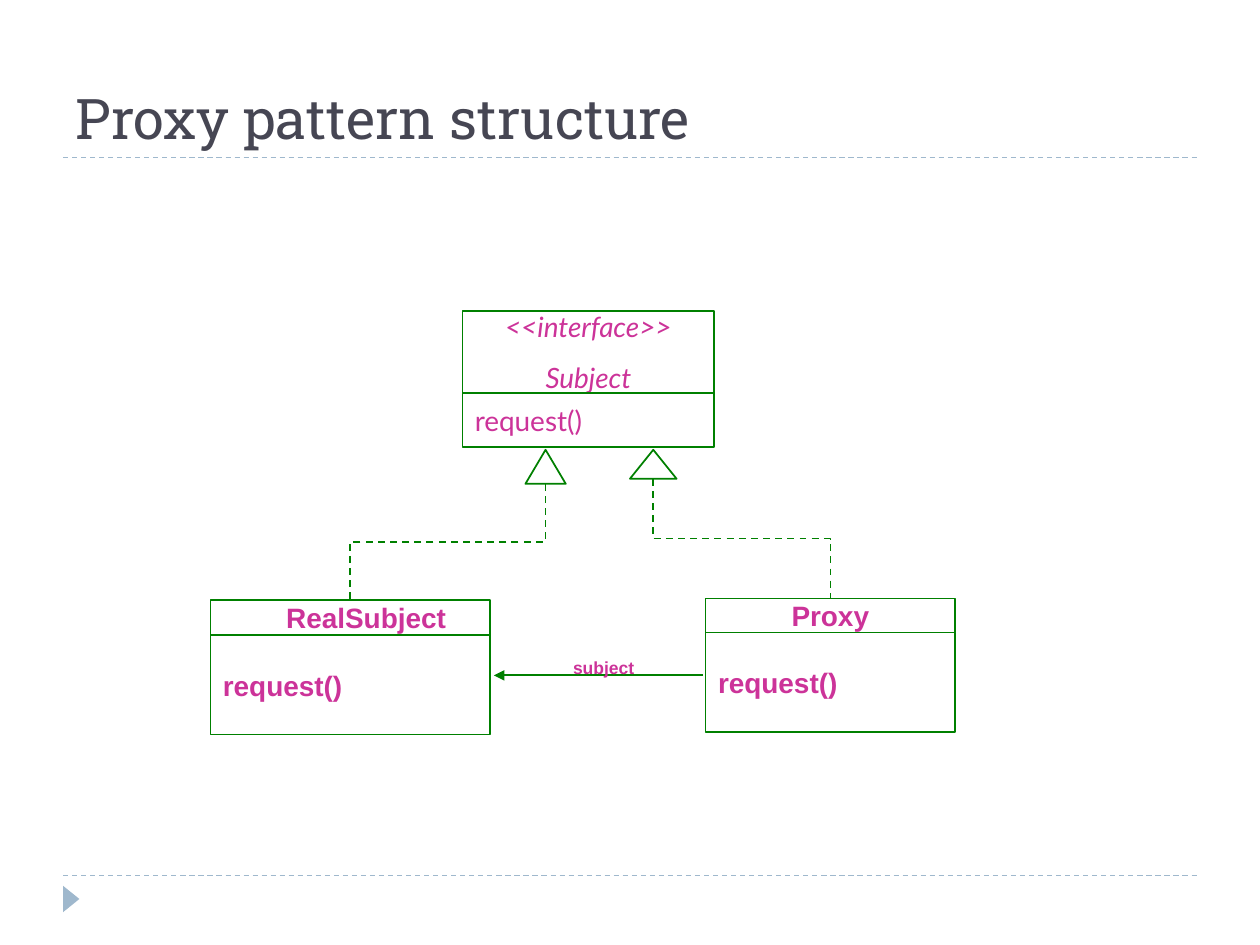
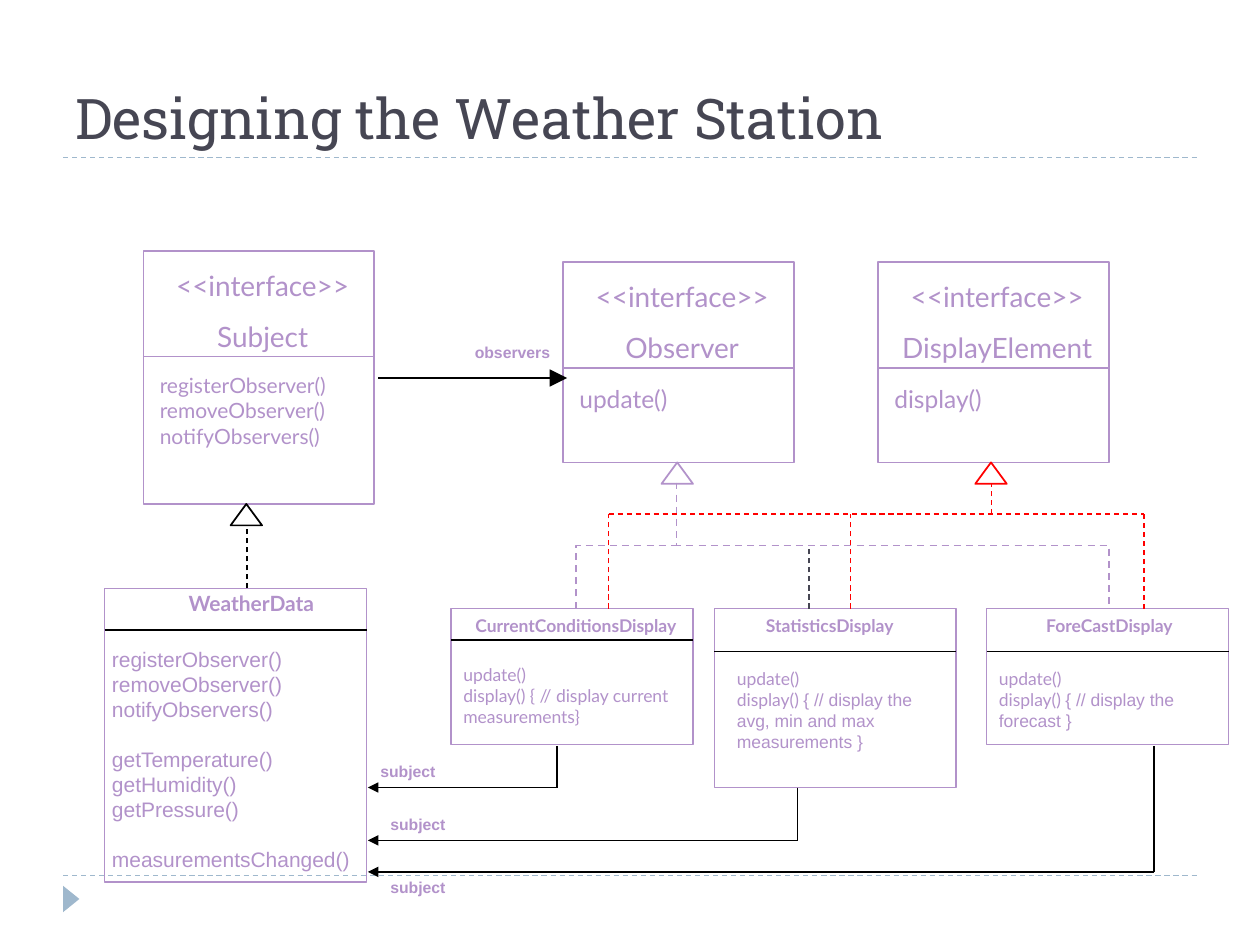
from dataclasses import dataclass, replace
from itertools import pairwise

from lxml.etree import SubElement
from pptx import Presentation
from pptx.dml.color import RGBColor
from pptx.enum.dml import MSO_LINE
from pptx.enum.shapes import MSO_CONNECTOR, MSO_SHAPE
from pptx.enum.text import MSO_ANCHOR, PP_ALIGN
from pptx.oxml.ns import qn
from pptx.util import Inches, Pt


@dataclass(frozen=True)
class Type:
    size: float
    colour: str
    font: str
    bold: bool = False
    italic: bool = False


@dataclass(frozen=True)
class Theme:
    frame = "9FB8CD"
    ink = "464653"
    green = "008000"
    lilac = "B292CA"
    red = "FF0000"
    black = "000000"
    thin = 0.75
    medium = 1
    title = Type(32, "464653", "Roboto Slab")
    proxy_plain = Type(16, "CC3399", "Lato")
    proxy_bold = Type(16, "CC3399", "Arial", bold=True)
    proxy_label = Type(10, "CC3399", "Arial", bold=True)
    interface = Type(16, "B292CA", "Lato")
    method = Type(14, "B292CA", "Lato")
    small_method = Type(12, "B292CA", "Lato")
    display_method = Type(10, "B292CA", "Lato")
    label = Type(9, "B292CA", "Arial", bold=True)


THEME = Theme()


@dataclass(frozen=True)
class Box:
    left: float
    top: float
    width: float
    height: float

    def emu(self):
        return [Inches(v) for v in (self.left, self.top, self.width, self.height)]

    def inner(self, dx, dy, width, height):
        return Box(self.left + dx, self.top + dy, width, height)


@dataclass(frozen=True)
class Para:
    """Spans are (text, font) pairs; a font of None keeps the type's own."""
    spans: tuple
    before: float = 0


def plain(*lines):
    return [Para(((line, None),)) for line in lines]


def write(frame, paras, kind, align=PP_ALIGN.LEFT, gap=0):
    for number, item in enumerate(paras):
        para = frame.add_paragraph() if number else frame.paragraphs[0]
        para.alignment = align
        if number:
            para.space_before = Pt(item.before or gap)
        for text, font in item.spans:
            span = para.add_run()
            span.text = text
            span.font.size = Pt(kind.size)
            span.font.name = font or kind.font
            span.font.bold = kind.bold
            span.font.italic = kind.italic
            span.font.color.rgb = RGBColor.from_string(kind.colour)


def textbox(page, box, paras, kind, align=PP_ALIGN.LEFT, gap=0,
            wrap=True, side=0.1, anchor=MSO_ANCHOR.TOP):
    frame = page.shapes.add_textbox(*box.emu()).text_frame
    frame.word_wrap = wrap
    frame.vertical_anchor = anchor
    frame.margin_left = frame.margin_right = Inches(side)
    write(frame, paras, kind, align, gap)


def outline(page, box, colour, preset=MSO_SHAPE.RECTANGLE):
    shape = page.shapes.add_shape(preset, *box.emu())
    shape.shadow.inherit = False
    shape.fill.background()
    shape.line.color.rgb = RGBColor.from_string(colour)
    shape.line.width = Pt(THEME.medium)
    return shape


def triangle(page, box, colour):
    return outline(page, box, colour, MSO_SHAPE.ISOSCELES_TRIANGLE)


def style_connector(connector, colour, width, dashed, head):
    connector.line.color.rgb = RGBColor.from_string(colour)
    connector.line.width = Pt(width)
    if dashed:
        connector.line.dash_style = MSO_LINE.DASH
    properties = connector.element.spPr
    if head:
        SubElement(properties.find(qn("a:ln")), qn("a:tailEnd"),
                   type="triangle", w=head, len=head)
    SubElement(properties, qn("a:effectLst"))


def route(page, points, colour, width=THEME.thin, dashed=False, head=None):
    """Straight legs through the points, with any arrowhead on the last leg."""
    legs = list(pairwise(points))
    connectors = []
    for number, (start, end) in enumerate(legs, 1):
        connector = page.shapes.add_connector(
            MSO_CONNECTOR.STRAIGHT, *[Inches(v) for v in (*start, *end)])
        style_connector(connector, colour, width, dashed,
                        head if number == len(legs) else None)
        connectors.append(connector)
    return connectors


DOWN_LEFT = {"rot": "5400000"}
DOWN_RIGHT = {"rot": "16200000", "flipH": "1"}
UP_RIGHT = {"rot": "5400000", "flipH": "1", "flipV": "1"}


def bend(page, start, end, turn, colour, preset="bentConnector3"):
    """A dashed elbow that leaves its start vertically."""
    (x1, y1), (x2, y2) = start, end
    width, height = abs(y2 - y1), abs(x2 - x1)
    left, top = (x1 + x2 - width) / 2, (y1 + y2 - height) / 2
    connector = page.shapes.add_connector(
        MSO_CONNECTOR.ELBOW,
        *[Inches(v) for v in (left, top, left + width, top + height)])
    properties = connector.element.spPr
    properties.find(qn("a:prstGeom")).set("prst", preset)
    for name, value in turn.items():
        properties.find(qn("a:xfrm")).set(name, value)
    style_connector(connector, colour, THEME.medium, True, None)


def share_frame(page):
    """Rules and corner marker, kept on the layout so every slide has them."""
    rules = [route(page, [(0.5, y), (9.5, y)], THEME.frame, dashed=True)[0]
             for y in (6.95, 1.25)]
    marker = triangle(page, Box(0.46, 7.07, 0.21, 0.13), THEME.frame)
    marker.rotation = 90
    marker.fill.solid()
    marker.fill.fore_color.rgb = RGBColor.from_string(THEME.frame)
    marker.line.fill.background()
    for shape in [*rules, marker]:
        page.slide_layout.element.cSld.spTree.append(shape.element)


def titled_page(deck, text):
    page = deck.slides.add_slide(deck.slide_layouts[5])
    title = page.shapes.title
    title.left, title.top, title.width, title.height = Box(0.5, 0.17, 9, 1.08).emu()
    title.text_frame.vertical_anchor = MSO_ANCHOR.BOTTOM
    write(title.text_frame, plain(text), THEME.title)
    return page


def compartment(page, box, lines, kind, align=PP_ALIGN.LEFT, inset=0.1):
    frame = outline(page, box, THEME.green).text_frame
    frame.word_wrap = False
    frame.vertical_anchor = MSO_ANCHOR.MIDDLE
    frame.margin_left = Inches(inset)
    write(frame, plain(*lines), kind, align, gap=10)


def proxy_class(page, box, names, head, name_kind, method_kind, name_inset=0.1):
    compartment(page, box.inner(0, 0, box.width, head), names, name_kind,
                PP_ALIGN.CENTER, name_inset)
    compartment(page, box.inner(0, head, box.width, box.height - head),
                ["request()"], method_kind)


def proxy_slide(deck):
    page = titled_page(deck, "Proxy pattern structure")
    share_frame(page)
    proxy_class(page, Box(3.67, 2.47, 2, 1.08), ["<<interface>>", "Subject"], 0.65,
                replace(THEME.proxy_plain, italic=True), THEME.proxy_plain)
    triangle(page, Box(4.17, 3.57, 0.32, 0.27), THEME.green)
    triangle(page, Box(5, 3.57, 0.37, 0.23), THEME.green)
    bend(page, (4.33, 3.84), (2.78, 4.76), DOWN_LEFT, THEME.green)
    bend(page, (5.18, 3.8), (6.59, 4.75), DOWN_RIGHT, THEME.green)
    proxy_class(page, Box(1.67, 4.76, 2.22, 1.07), ["RealSubject"], 0.28,
                THEME.proxy_bold, THEME.proxy_bold, name_inset=0.35)
    proxy_class(page, Box(5.6, 4.75, 1.98, 1.06), ["Proxy"], 0.27,
                THEME.proxy_bold, THEME.proxy_bold)
    route(page, [(5.58, 5.36), (3.92, 5.36)], THEME.green, THEME.medium, head="med")
    textbox(page, Box(4.25, 5.17, 1.08, 0.26), plain("subject"), THEME.proxy_label,
            PP_ALIGN.CENTER, wrap=False, anchor=MSO_ANCHOR.MIDDLE)


def divider(page, box, dy, colour, width):
    y = box.top + dy
    route(page, [(box.left, y), (box.left + box.width, y)], colour, width)


def interface(page, box, name, methods, kind):
    outline(page, box, THEME.lilac)
    divider(page, box, 0.84, THEME.lilac, THEME.medium)
    textbox(page, box.inner(0.03, 0.09, 1.83, 0.77), plain("<<interface>>", name),
            THEME.interface, PP_ALIGN.CENTER, gap=10, side=0.05)
    textbox(page, box.inner(0.03, 0.92, 1.84, 0.7), plain(*methods), kind)


def concrete_class(page, box, name, name_area, head, methods, method_area, kind,
                   name_wrap=True):
    """The two areas are offsets and sizes measured from the box."""
    outline(page, box, THEME.lilac)
    divider(page, box, head, THEME.black, THEME.thin)
    textbox(page, box.inner(*name_area), plain(name),
            replace(kind, font="Lato", bold=True), PP_ALIGN.CENTER, wrap=name_wrap)
    textbox(page, box.inner(*method_area), methods, kind)


def display_methods(comment, font=None):
    return [*plain("update()"), Para((("display() ", None), (comment, font)))]


def interfaces(page):
    interface(page, Box(1.14, 1.99, 1.83, 2.01), "Subject",
              ["registerObserver()", "removeObserver()", "notifyObservers()"],
              THEME.small_method)
    interface(page, Box(4.47, 2.08, 1.83, 1.59), "Observer", ["update()"], THEME.method)
    interface(page, Box(6.97, 2.08, 1.83, 1.59), "DisplayElement", ["display()"],
              THEME.method)
    for left, top, colour in ((1.83, 4, THEME.black), (5.25, 3.67, THEME.lilac),
                              (7.74, 3.67, THEME.red)):
        triangle(page, Box(left, top, 0.25, 0.17), colour)


def weather_data(page, box):
    methods = plain("registerObserver()", "removeObserver()", "notifyObservers()",
                    "getTemperature()", "getHumidity()", "getPressure()",
                    "measurementsChanged()")
    for first_of_group in (3, 6):
        methods[first_of_group] = replace(methods[first_of_group], before=14)
    concrete_class(page, box, "WeatherData", (0.51, -0.03, 1.31, 0.3), 0.33, methods,
                   (-0.04, 0.41, 2.32, 2.1), replace(THEME.small_method, font="Arial"),
                   name_wrap=False)


def displays(page, top):
    kind = THEME.display_method
    concrete_class(page, Box(3.58, top, 1.92, 1.08), "CurrentConditionsDisplay",
                   (0, 0, 1.98, 0.27), 0.25,
                   display_methods("{ // display current measurements}"),
                   (0, 0.39, 1.83, 0.6), kind, name_wrap=False)
    concrete_class(page, Box(5.67, top, 1.92, 1.42), "StatisticsDisplay",
                   (0, 0, 1.83, 0.27), 0.34,
                   display_methods("{ // display the avg, min and max measurements }",
                                   "Arial"),
                   (0.08, 0.42, 1.83, 0.94), kind)
    concrete_class(page, Box(7.83, top, 1.92, 1.08), "ForeCastDisplay",
                   (0.03, 0, 1.89, 0.27), 0.34,
                   display_methods("{ // display the forecast }", "Arial"),
                   (0, 0.42, 1.83, 0.6), kind)


def realizations(page, top):
    bend(page, (4.57, top), (5.42, 4.33), UP_RIGHT, THEME.lilac, "bentConnector2")
    bend(page, (5.37, 3.83), (8.8, top), DOWN_RIGHT, THEME.lilac)
    route(page, [(6.42, top), (6.42, 4.33)], THEME.ink, dashed=True)
    route(page, [(1.96, 4.67), (1.96, 4.17)], THEME.black, dashed=True)
    bus = 4.08
    for points in ([(4.83, top), (4.83, bus), (9.08, bus), (9.08, top)],
                   [(6.75, top), (6.75, bus)], [(7.87, bus), (7.87, 3.83)]):
        route(page, points, THEME.red, dashed=True)


def associations(page):
    route(page, [(3, 3), (4.5, 3)], THEME.black, head="lg")
    for x, start, y in ((4.42, 5.92, 6.25), (6.33, 6.25, 6.67), (9.16, 5.92, 6.92)):
        route(page, [(x, start), (x, y), (2.92, y)], THEME.black, head="med")
    for text, left, top in (("observers", 3.67, 2.67), ("subject", 2.92, 6),
                            ("subject", 3, 6.42), ("subject", 3, 6.92)):
        textbox(page, Box(left, top, 0.83, 0.25), plain(text), THEME.label)


def weather_slide(deck):
    page = titled_page(deck, "Designing the Weather Station")
    display_top = 4.83
    interfaces(page)
    weather_data(page, Box(0.83, 4.67, 2.08, 2.33))
    displays(page, display_top)
    realizations(page, display_top)
    associations(page)


def main():
    deck = Presentation()
    deck.slide_width, deck.slide_height = Inches(10), Inches(7.5)
    proxy_slide(deck)
    weather_slide(deck)
    deck.save("out.pptx")


if __name__ == "__main__":
    main()
